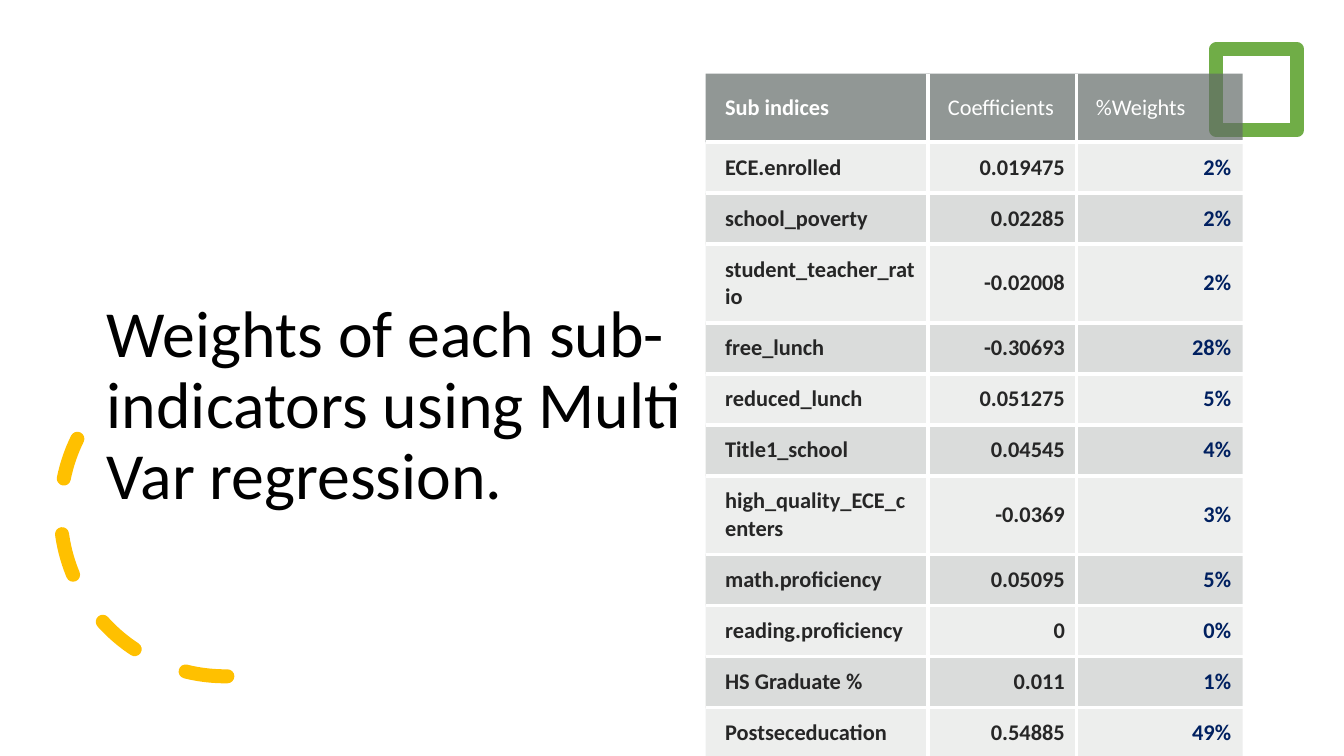
from lxml.etree import SubElement
from pptx import Presentation
from pptx.dml.color import RGBColor
from pptx.enum.dml import MSO_LINE
from pptx.enum.shapes import MSO_SHAPE
from pptx.enum.text import MSO_ANCHOR, MSO_AUTO_SIZE, PP_ALIGN
from pptx.oxml.ns import qn
from pptx.util import Pt

PX = 4572
FONT = "Calibri"
WHITE = RGBColor(0xFF, 0xFF, 0xFF)
BLACK = RGBColor(0x00, 0x00, 0x00)
CHARCOAL = RGBColor(0x26, 0x26, 0x26)
NAVY = RGBColor(0x00, 0x20, 0x60)
AMBER = RGBColor(0xFF, 0xC0, 0x00)
GREEN = RGBColor(0x70, 0xAD, 0x47)
HEADER_GRAY = RGBColor(0x63, 0x6B, 0x68)
BAND_GRAY = RGBColor(0x87, 0x8E, 0x8B)

HEADINGS = ("Sub indices", "Coefficients", "%Weights")
INDICATORS = [
    ("ECE.enrolled", "0.019475", "2%"),
    ("school_poverty", "0.02285", "2%"),
    ("student_teacher_ratio", "-0.02008", "2%"),
    ("free_lunch", "-0.30693", "28%"),
    ("reduced_lunch", "0.051275", "5%"),
    ("Title1_school", "0.04545", "4%"),
    ("high_quality_ECE_centers", "-0.0369", "3%"),
    ("math.proficiency", "0.05095", "5%"),
    ("reading.proficiency", "0", "0%"),
    ("HS Graduate %", "0.011", "1%"),
    ("Postseceducation", "0.54885", "49%"),
]
COLUMN_WIDTHS = (442, 294, 330)
ROW_HEIGHT, TALL_ROW_HEIGHT = 94, 136
TALL_ROWS = (0, 7)


def write_text(frame, text, size, color, bold=False, align=PP_ALIGN.LEFT, spacing=None):
    """Write one formatted paragraph into a text frame."""
    paragraph = frame.paragraphs[0]
    paragraph.alignment = align
    paragraph.line_spacing = spacing
    run = paragraph.add_run()
    run.text = text
    run.font.name = FONT
    run.font.size = Pt(size)
    run.font.bold = bold
    run.font.color.rgb = color


def add_outline(slide, preset, box, color):
    """Add an unfilled preset shape with a thick outline."""
    shape = slide.shapes.add_shape(preset, *(length * PX for length in box))
    shape.shadow.inherit = False
    shape.fill.background()
    shape.line.color.rgb = color
    shape.line.width = Pt(10)
    return shape


def finish_outline(shape):
    """Round the caps and corners of an outline."""
    line = shape.line._get_or_add_ln()
    line.set("cap", "rnd")
    SubElement(line, qn("a:round"))


def add_dashed_arc(slide, box):
    """Add the dashed arc beside the title."""
    arc = add_outline(slide, MSO_SHAPE.ARC, box, AMBER)
    arc.adjustments[0] = 144.42
    arc.adjustments[1] = 0
    arc.rotation = 266.9
    arc.element.spPr.find(qn("a:xfrm")).set("flipH", "1")
    arc.line.dash_style = MSO_LINE.DASH
    finish_outline(arc)


def place_title(slide, box):
    """Move the title placeholder into its box and fill it."""
    title = slide.shapes.title
    title.left, title.top, title.width, title.height = (length * PX for length in box)
    frame = title.text_frame
    frame.word_wrap = True
    frame.auto_size = MSO_AUTO_SIZE.NONE
    frame.vertical_anchor = MSO_ANCHOR.BOTTOM
    write_text(frame, "Weights of each sub-indicators using Multi Var regression.",
               size=47, color=BLACK, spacing=0.9)
    slide.shapes._spTree.remove(title.element)
    slide.shapes._spTree.append(title.element)


def style_cell(cell, color, opacity, sides):
    """Give a cell its margins, white borders and translucent fill."""
    cell.vertical_anchor = MSO_ANCHOR.MIDDLE
    cell.margin_left = 39 * PX
    cell.margin_right = cell.margin_top = 23 * PX
    cell.margin_bottom = 24 * PX
    properties = cell._tc.get_or_add_tcPr()
    for side in ("L", "R", "T", "B"):
        border = SubElement(properties, qn(f"a:ln{side}"), w=str(Pt(3)))
        if side in sides:
            fill = SubElement(border, qn("a:solidFill"))
            SubElement(fill, qn("a:srgbClr"), val=str(WHITE))
        else:
            SubElement(border, qn("a:noFill"))
    cell.fill.solid()
    cell.fill.fore_color.rgb = color
    fill_color = properties.find(qn("a:solidFill")).find(qn("a:srgbClr"))
    SubElement(fill_color, qn("a:alpha"), val=str(opacity * 1000))


def add_weights_table(slide, left, top):
    """Add the table of coefficients and weights at a corner point."""
    rows = [HEADINGS, *INDICATORS]
    heights = [TALL_ROW_HEIGHT if index in TALL_ROWS else ROW_HEIGHT
               for index in range(len(rows))]
    frame = slide.shapes.add_table(len(rows), len(HEADINGS), left * PX, top * PX,
                                   sum(COLUMN_WIDTHS) * PX, sum(heights) * PX)
    table = frame.table
    for column, width in zip(table.columns, COLUMN_WIDTHS):
        column.width = width * PX
    for row_index, values in enumerate(rows):
        table.rows[row_index].height = heights[row_index] * PX
        header = row_index == 0
        fill = HEADER_GRAY if header else BAND_GRAY
        opacity = 70 if header else 15 if row_index % 2 else 30
        for column_index, text in enumerate(values):
            cell = table.cell(row_index, column_index)
            first, last = column_index == 0, column_index == len(values) - 1
            sides = (("" if first else "L") + ("" if last else "R")
                     + ("" if header else "T")
                     + ("" if row_index == len(rows) - 1 else "B"))
            style_cell(cell, fill, opacity, sides)
            color = WHITE if header else NAVY if last else CHARCOAL
            write_text(cell.text_frame, text, size=16, color=color,
                       bold=first or not header,
                       align=PP_ALIGN.LEFT if header or first else PP_ALIGN.RIGHT)


def build_weights_slide(presentation):
    """Build the slide of sub-indicator weights."""
    slide = presentation.slides.add_slide(presentation.slide_layouts[5])
    add_dashed_arc(slide, (120, 688, 654, 654))
    place_title(slide, (192, 508, 1202, 522))
    finish_outline(add_outline(slide, MSO_SHAPE.RECTANGLE, (2414, 98, 160, 160), GREEN))
    add_weights_table(slide, 1400, 146)


def main():
    """Create and save the presentation."""
    presentation = Presentation()
    presentation.slide_width = 2667 * PX
    presentation.slide_height = 1500 * PX
    build_weights_slide(presentation)
    presentation.save("out.pptx")


if __name__ == "__main__":
    main()
